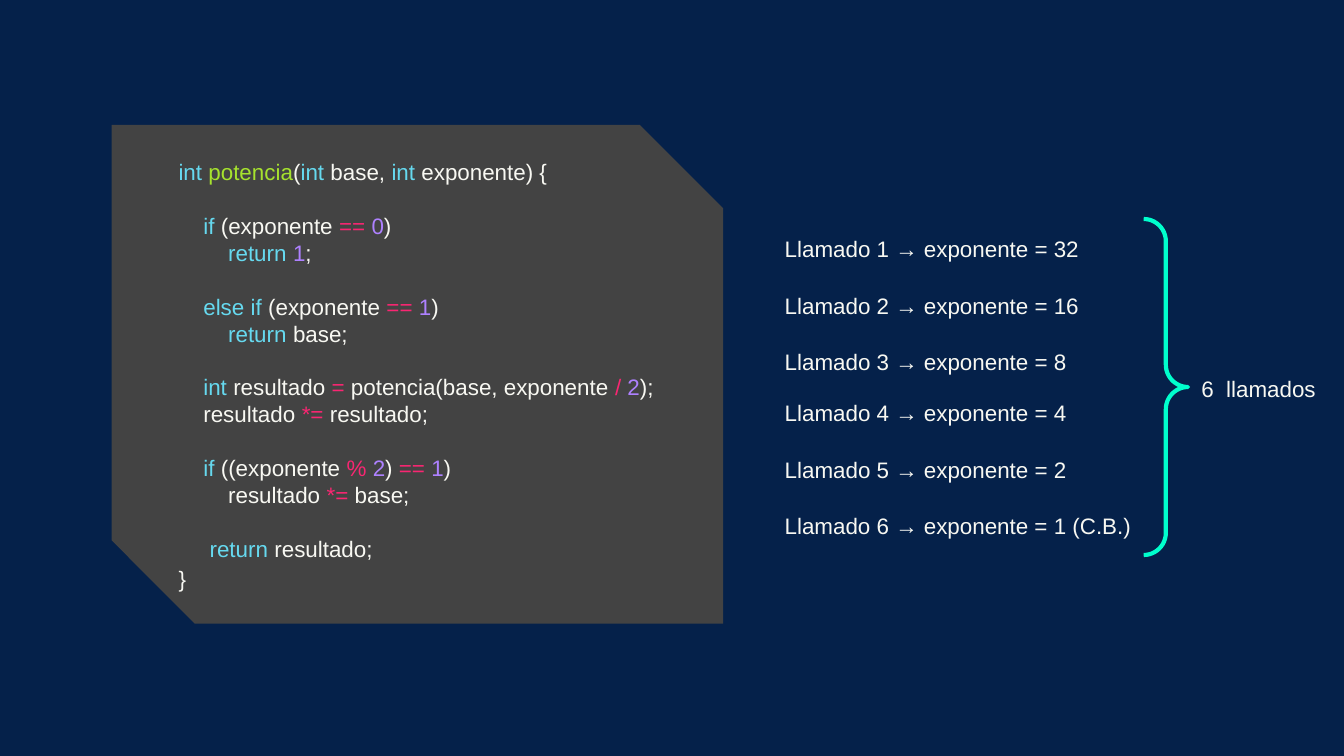
from pptx import Presentation
from pptx.dml.color import RGBColor
from pptx.enum.shapes import MSO_SHAPE as Shape
from pptx.util import Inches, Pt

KEYWORD, NAME, PLAIN, OPERATOR, NUMBER = "66D9EF", "A6E22E", "F8F8F2", "F92672", "AE81FF"

CODE_BLOCKS = [
    [[("int ", KEYWORD), ("potencia", NAME), ("(", PLAIN), ("int ", KEYWORD),
      ("base, ", PLAIN), ("int ", KEYWORD), ("exponente) {", PLAIN)]],
    [[("    if ", KEYWORD), ("(exponente ", PLAIN), ("== ", OPERATOR), ("0", NUMBER), (")", PLAIN)],
     [("        return ", KEYWORD), ("1", NUMBER), (";", PLAIN)]],
    [[("    else if ", KEYWORD), ("(exponente ", PLAIN), ("== ", OPERATOR), ("1", NUMBER), (")", PLAIN)],
     [("        return ", KEYWORD), ("base;", PLAIN)]],
    [[("    int ", KEYWORD), ("resultado ", PLAIN), ("= ", OPERATOR),
      ("potencia(base, exponente ", PLAIN), ("/ ", OPERATOR), ("2", NUMBER), (");", PLAIN)],
     [("    resultado ", PLAIN), ("*= ", OPERATOR), ("resultado;", PLAIN)]],
    [[("    if ", KEYWORD), ("((exponente ", PLAIN), ("% ", OPERATOR), ("2", NUMBER),
      (") ", PLAIN), ("== ", OPERATOR), ("1", NUMBER), (")", PLAIN)],
     [("        resultado ", PLAIN), ("*= ", OPERATOR), ("base;", PLAIN)]],
    [[("     return ", KEYWORD), ("resultado;", PLAIN)],
     [("}", PLAIN)]],
]
EXPONENTS = ["32", "16", "8", "4", "2", "1 (C.B.)"]


def color(hex_code):
    return RGBColor.from_string(hex_code)


def write(paragraph, text, font="Arial", size=12, ink=PLAIN):
    run = paragraph.add_run()
    run.text = text
    run.font.name = font
    run.font.size = Pt(size)
    run.font.color.rgb = color(ink)


class Deck:
    loose = 1.11
    blank_line = Pt(14.4)

    def __init__(self, background):
        self.presentation = Presentation()
        self.presentation.slide_width = Inches(10)
        self.presentation.slide_height = Inches(10 * 9 / 16)
        self.slide = self.presentation.slides.add_slide(self.presentation.slide_layouts[6])
        self.slide.background.fill.solid()
        self.slide.background.fill.fore_color.rgb = color(background)

    def shape(self, kind, box, adjustments, fill=None, line=None, width=2.25):
        shape = self.slide.shapes.add_shape(kind, *map(Inches, box))
        shape.shadow.inherit = False
        for index, value in enumerate(adjustments):
            shape.adjustments[index] = value
        if fill:
            shape.fill.solid()
            shape.fill.fore_color.rgb = color(fill)
        else:
            shape.fill.background()
        if line:
            shape.line.color.rgb = color(line)
            shape.line.width = Pt(width)
        else:
            shape.line.fill.background()

    def frame(self, box):
        frame = self.slide.shapes.add_textbox(*map(Inches, box)).text_frame
        frame.word_wrap = True
        frame.margin_left = frame.margin_right = Inches(0.1)
        frame.margin_top = frame.margin_bottom = Inches(0.1)
        return frame

    def label(self, box, text, spacing=None):
        paragraph = self.frame(box).paragraphs[0]
        paragraph.line_spacing = spacing
        write(paragraph, text)

    def code(self, box, blocks):
        frame = self.frame(box)
        paragraph = None
        for block in blocks:
            for row, tokens in enumerate(block):
                first = paragraph is None
                paragraph = frame.paragraphs[0] if first else frame.add_paragraph()
                if row == 0 and not first:
                    paragraph.space_before = self.blank_line
                for text, ink in tokens:
                    write(paragraph, text, ink=ink)
        paragraph.line_spacing = self.loose


def main():
    deck = Deck("05214A")
    deck.shape(Shape.SNIP_2_DIAG_RECTANGLE, (0.83, 0.93, 4.55, 3.71), (0, 0.167), fill="434343")
    deck.code((1.23, 1.08, 3.82, 3.41), CODE_BLOCKS)

    for index, exponent in enumerate(EXPONENTS):
        group, row = divmod(index, 3)
        top = 1.63 + 1.22 * group + 0.42 * row
        width = 2.86 if "C.B." in exponent else 2.41
        deck.label((5.74, top, width, 0.38),
                   f"Llamado {index + 1} → exponente = {exponent}", spacing=deck.loose)

    deck.shape(Shape.RIGHT_BRACE, (8.51, 1.63, 0.33, 2.5), (0.5, 0.5), line="00FFCD")
    deck.label((8.84, 2.69, 1.08, 0.38), "6  llamados")
    deck.presentation.save("out.pptx")


if __name__ == "__main__":
    main()
